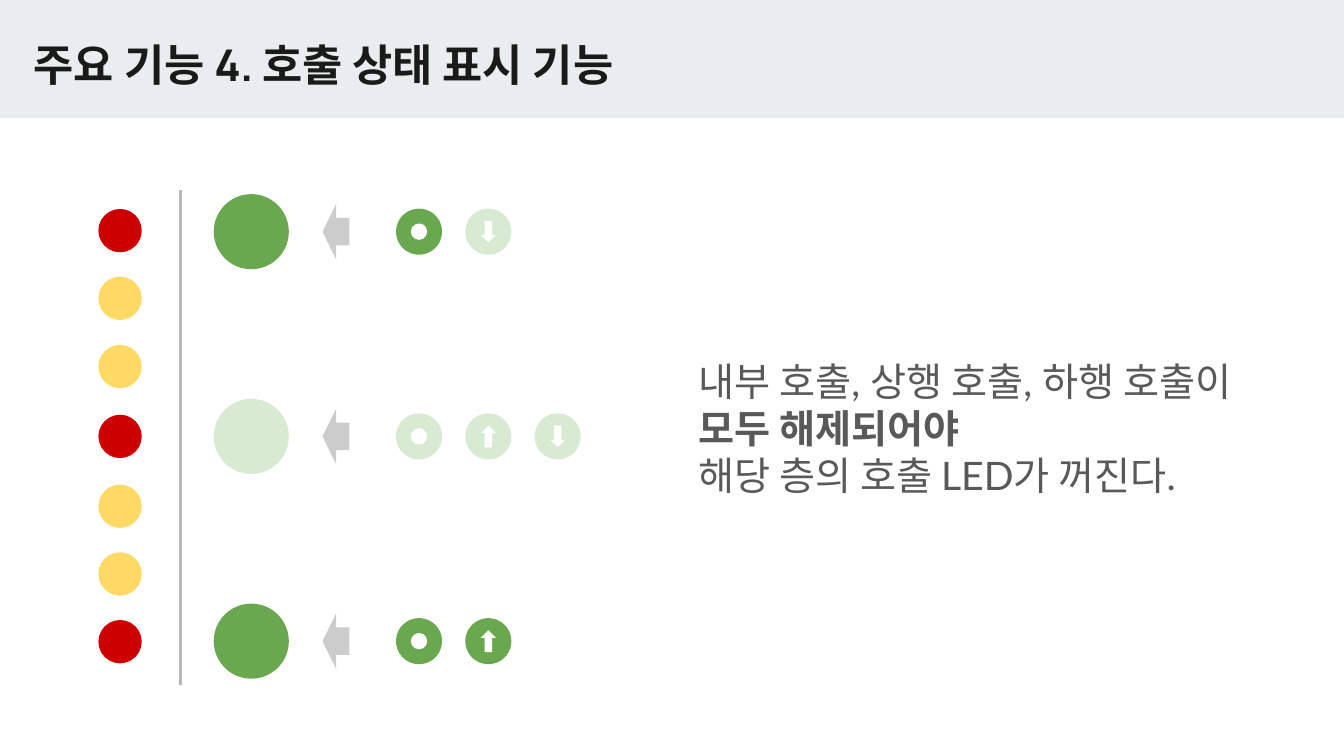
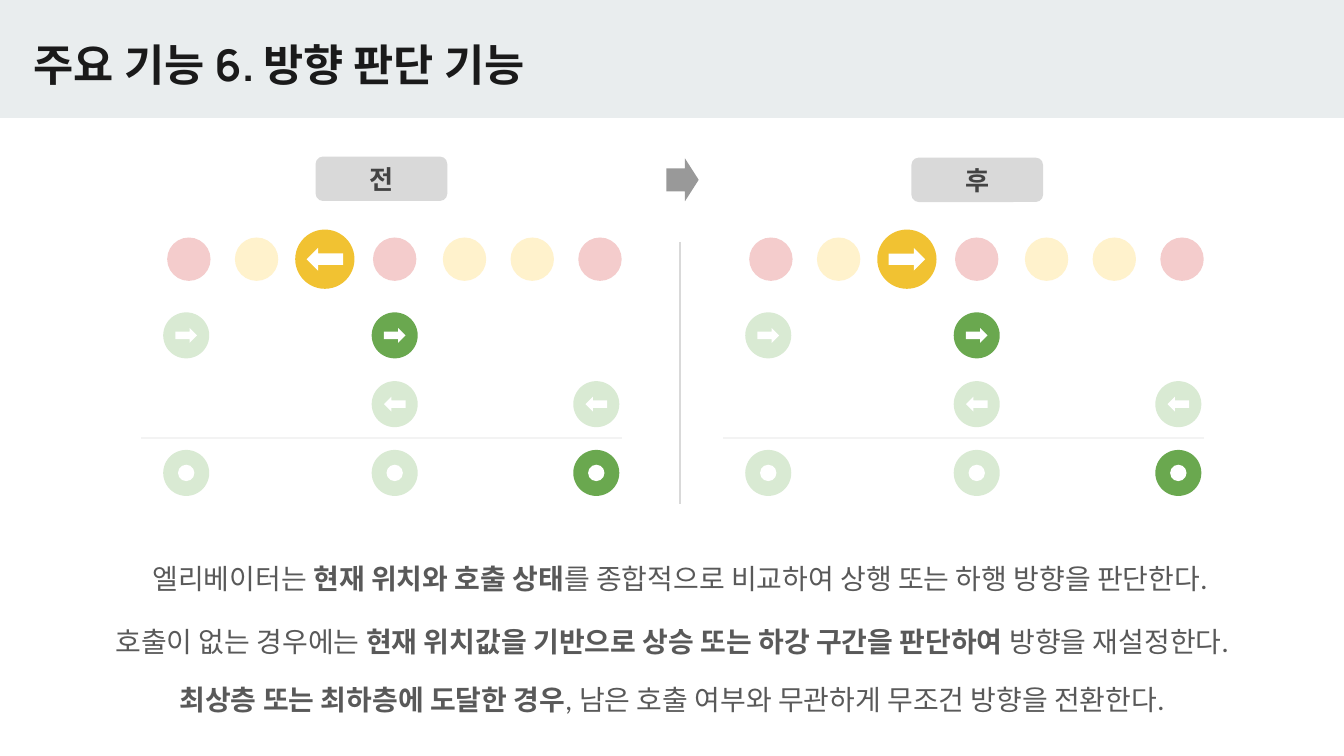
from lxml.etree import SubElement
from pptx import Presentation
from pptx.dml.color import RGBColor
from pptx.enum.shapes import MSO_CONNECTOR, MSO_SHAPE
from pptx.enum.text import MSO_ANCHOR, PP_ALIGN
from pptx.oxml.ns import qn
from pptx.util import Cm, Pt

COLORS = {
    "band": "E9EDEE", "title": "1A1A1A", "body": "595959", "label": "434343",
    "white": "FFFFFF", "green": "6AA84F", "pale_green": "D9EAD3",
    "red": "CC0000", "yellow": "FFD966", "pale_red": "F4CCCC",
    "pale_yellow": "FFF2CC", "gold": "F1C232", "arrow": "CCCCCC",
    "dark_arrow": "999999", "label_fill": "D9D9D9", "axis": "B7B7B7",
    "divider": "D9D9D9", "rule": "F3F3F3",
}
TITLE_FONT, BODY_FONT = "Manrope", "Lato"
SLIDE_WIDTH, SLIDE_HEIGHT = 25.4, 14.29

# Distances of the seven floors from the middle one; every third is a stop
FLOOR_OFFSETS = (-3.89, -2.61, -1.32, 0, 1.32, 2.6, 3.88)
FLOOR_SIZE, BUTTON_SIZE, RING_SIZE = 0.82, 0.87, 0.31
ARROW_ANGLES = {"down": 0, "left": 90, "up": 180, "right": 270}


def rgb(name):
    return RGBColor.from_string(COLORS[name])


# Basic elements
def add_figure(shapes, kind, center_x, center_y, width, height, color,
               rotation=0, adjustments=()):
    """Add a filled preset shape around its centre."""
    shape = shapes.add_shape(kind, Cm(center_x - width / 2), Cm(center_y - height / 2),
                             Cm(width), Cm(height))
    shape.shadow.inherit = False
    shape.fill.solid()
    shape.fill.fore_color.rgb = rgb(color)
    shape.line.fill.background()
    shape.rotation = rotation
    for index, value in enumerate(adjustments):
        shape.adjustments[index] = value
    return shape


def add_circle(shapes, center_x, center_y, size, color):
    add_figure(shapes, MSO_SHAPE.OVAL, center_x, center_y, size, size, color)


def add_line(shapes, start, end, color):
    line = shapes.add_connector(MSO_CONNECTOR.STRAIGHT, Cm(start[0]), Cm(start[1]),
                                Cm(end[0]), Cm(end[1]))
    line.line.color.rgb = rgb(color)
    line.line.width = Pt(1.5)
    SubElement(line._element.spPr, qn("a:effectLst"))


def write_text(frame, paragraphs, size, color="body", font=BODY_FONT,
               align=PP_ALIGN.LEFT, anchor=MSO_ANCHOR.TOP):
    """Fill a frame; each paragraph is a list of (text, bold) runs."""
    frame.word_wrap = True
    frame.vertical_anchor = anchor
    frame.margin_left = frame.margin_right = Cm(0.25)
    frame.margin_top = frame.margin_bottom = Cm(0.25)
    for index, runs in enumerate(paragraphs):
        paragraph = frame.add_paragraph() if index else frame.paragraphs[0]
        paragraph.alignment = align
        for text, bold in runs:
            run = paragraph.add_run()
            run.text = text
            run.font.name = font
            run.font.size = Pt(size)
            run.font.bold = bold
            run.font.color.rgb = rgb(color)


def add_text(slide, left, top, width, height, paragraphs, **text_format):
    box = slide.shapes.add_textbox(Cm(left), Cm(top), Cm(width), Cm(height))
    write_text(box.text_frame, paragraphs, **text_format)


# Elevator elements
def add_direction_arrow(shapes, center_x, center_y, direction, width=0.28, height=0.41):
    add_figure(shapes, MSO_SHAPE.DOWN_ARROW, center_x, center_y, width, height, "white",
               rotation=ARROW_ANGLES[direction], adjustments=(0.5, 0.5))


def add_call_button(shapes, center_x, center_y, symbol, active):
    """Add a call lamp holding a ring (inside call) or a direction arrow."""
    add_circle(shapes, center_x, center_y, BUTTON_SIZE, "green" if active else "pale_green")
    if symbol == "inside":
        add_circle(shapes, center_x, center_y, RING_SIZE, "white")
    else:
        add_direction_arrow(shapes, center_x, center_y, symbol)


def add_label(slide, center_x, center_y, text):
    shape = add_figure(slide.shapes, MSO_SHAPE.ROUNDED_RECTANGLE, center_x, center_y,
                       2.49, 0.84, "label_fill", adjustments=(0.167,))
    write_text(shape.text_frame, [[(text, True)]], size=14, color="label",
               align=PP_ALIGN.CENTER, anchor=MSO_ANCHOR.MIDDLE)


def add_direction_panel(slide, middle, direction):
    """Add the floors, the car and the calls, grouped around the middle floor."""
    shapes = slide.shapes.add_group_shape().shapes
    floor_y, call_top, call_step = 4.9, 6.34, 1.3
    car_floor = 2

    for floor, offset in enumerate(FLOOR_OFFSETS):
        if floor == car_floor:
            add_circle(shapes, middle + offset, floor_y, 1.12, "gold")
            add_direction_arrow(shapes, middle + offset, floor_y, direction, 0.43, 0.69)
        else:
            color = "pale_yellow" if floor % 3 else "pale_red"
            add_circle(shapes, middle + offset, floor_y, FLOOR_SIZE, color)

    add_line(shapes, (middle - 4.79, 8.28), (middle + 4.3, 8.28), "rule")

    # Each row: symbol and the state of its calls by stop
    call_rows = (
        ("right", {0: False, 1: True}),
        ("left", {1: False, 2: False}),
        ("inside", {0: False, 1: False, 2: True}),
    )
    stop_offsets = (-3.94, 0, 3.81)
    for row, (symbol, calls) in enumerate(call_rows):
        for stop, active in calls.items():
            add_call_button(shapes, middle + stop_offsets[stop],
                            call_top + row * call_step, symbol, active)


# Slides
def add_titled_slide(presentation, title):
    slide = presentation.slides.add_slide(presentation.slide_layouts[6])
    band_height = 2.23
    add_figure(slide.shapes, MSO_SHAPE.RECTANGLE, SLIDE_WIDTH / 2, band_height / 2,
               SLIDE_WIDTH, band_height, "band")
    add_text(slide, 0.39, 0.47, 21.36, 1.5, [[(title, True)]],
             size=23.4, color="title", font=TITLE_FONT)
    return slide


def build_call_status(presentation):
    slide = add_titled_slide(presentation, "주요 기능 4. 호출 상태 표시 기능")
    shapes = slide.shapes
    middle_y, stop_step = 8.25, 3.87

    # Floors along the shaft
    for floor, offset in enumerate(FLOOR_OFFSETS):
        add_circle(shapes, 2.27, middle_y + offset, FLOOR_SIZE,
                   "yellow" if floor % 3 else "red")
    add_line(shapes, (3.41, 3.6), (3.41, 12.95), "axis")

    # Lamp and calls of each stop, top to bottom
    stops = (
        (("inside", True), ("down", False)),
        (("inside", False), ("up", False), ("down", False)),
        (("inside", True), ("up", True)),
    )
    for stop, calls in enumerate(stops):
        center_y = middle_y + (stop - 1) * stop_step
        lit = any(active for symbol, active in calls)
        add_circle(shapes, 4.75, center_y, 1.42, "green" if lit else "pale_green")
        add_figure(shapes, MSO_SHAPE.RIGHT_ARROW, 6.35, center_y, 0.51, 1.04, "arrow",
                   rotation=180)
        for column, (symbol, active) in enumerate(calls):
            add_call_button(shapes, 7.92 + column * 1.31, center_y, symbol, active)

    add_text(slide, 12.95, 6.5, 11.02, 3.68, [
        [("내부 호출, 상행 호출, 하행 호출이 ", False), ("모두 해제되어야", True)],
        [("해당 층의 호출 LED가 꺼진다.", False)],
    ], size=21)


def build_direction_choice(presentation):
    slide = add_titled_slide(presentation, "주요 기능 6. 방향 판단 기능")

    # Before and after
    add_label(slide, 7.21, 3.38, "전")
    add_label(slide, 18.47, 3.4, "후")
    add_figure(slide.shapes, MSO_SHAPE.RIGHT_ARROW, 12.9, 3.4, 0.61, 0.81, "dark_arrow",
               adjustments=(0.536, 0.424))
    add_line(slide.shapes, (12.85, 4.57), (12.85, 9.53), "divider")
    add_direction_panel(slide, 7.46, "left")
    add_direction_panel(slide, 18.46, "right")

    # Rules below the panels
    rules = (
        (0.15, 10.36, [("엘리베이터는 ", False), ("현재 위치와 호출 상태", True),
                       ("를 종합적으로 비교하여 상행 또는 하행 방향을 판단한다.", False)]),
        (0, 11.56, [("호출이 없는 경우에는 ", False),
                    ("현재 위치값을 기반으로 상승 또는 하강 구간을 판단하여", True),
                    (" 방향을 재설정한다.", False)]),
        (0, 12.65, [("최상층 또는 최하층에 도달한 경우", True),
                    (", 남은 호출 여부와 무관하게 무조건 방향을 전환한다.", False)]),
    )
    for left, top, runs in rules:
        add_text(slide, left, top, SLIDE_WIDTH, 1.35, [runs], size=15,
                 align=PP_ALIGN.CENTER)


def main():
    presentation = Presentation()
    presentation.slide_width = Cm(SLIDE_WIDTH)
    presentation.slide_height = Cm(SLIDE_HEIGHT)
    build_call_status(presentation)
    build_direction_choice(presentation)
    presentation.save("out.pptx")


if __name__ == "__main__":
    main()
